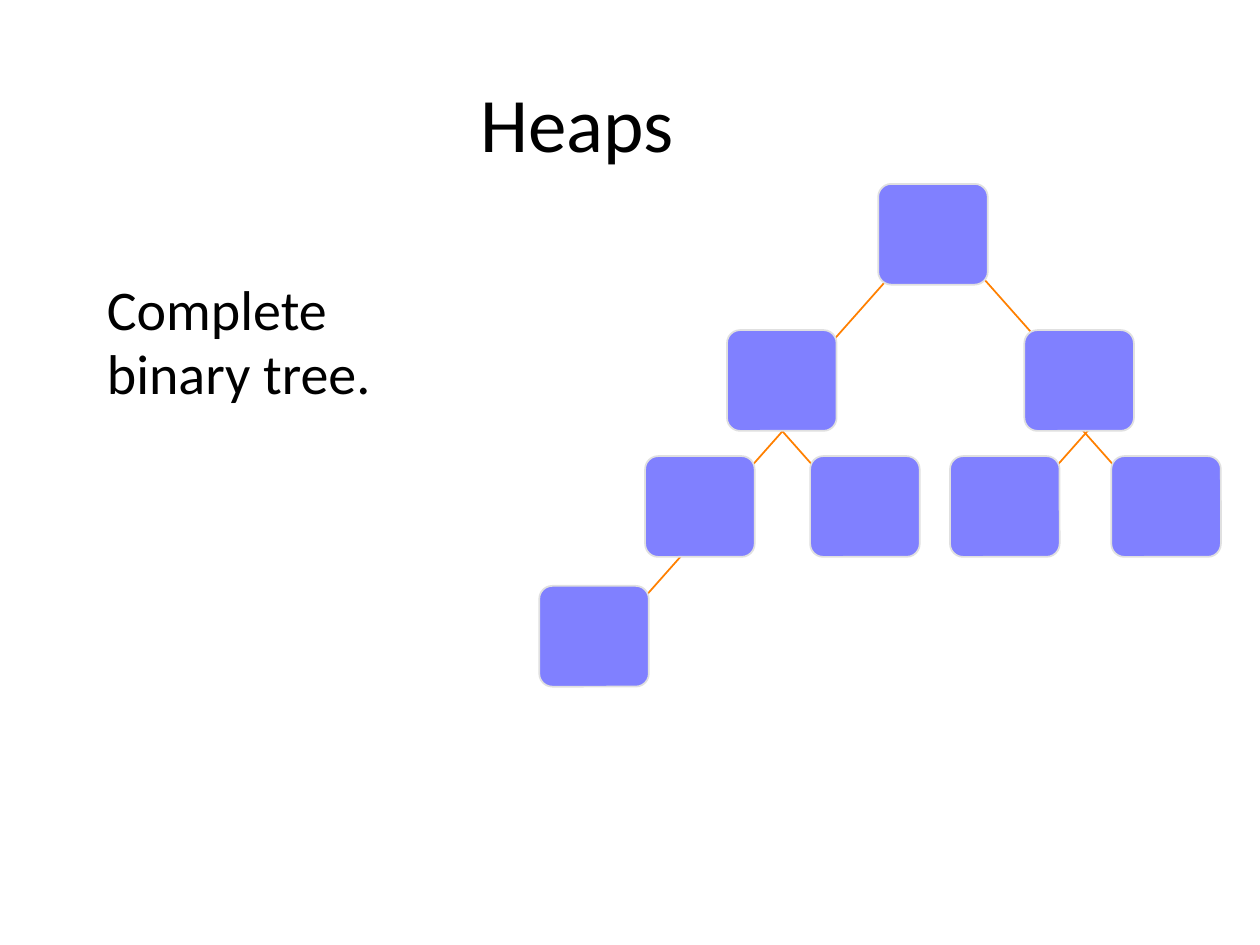
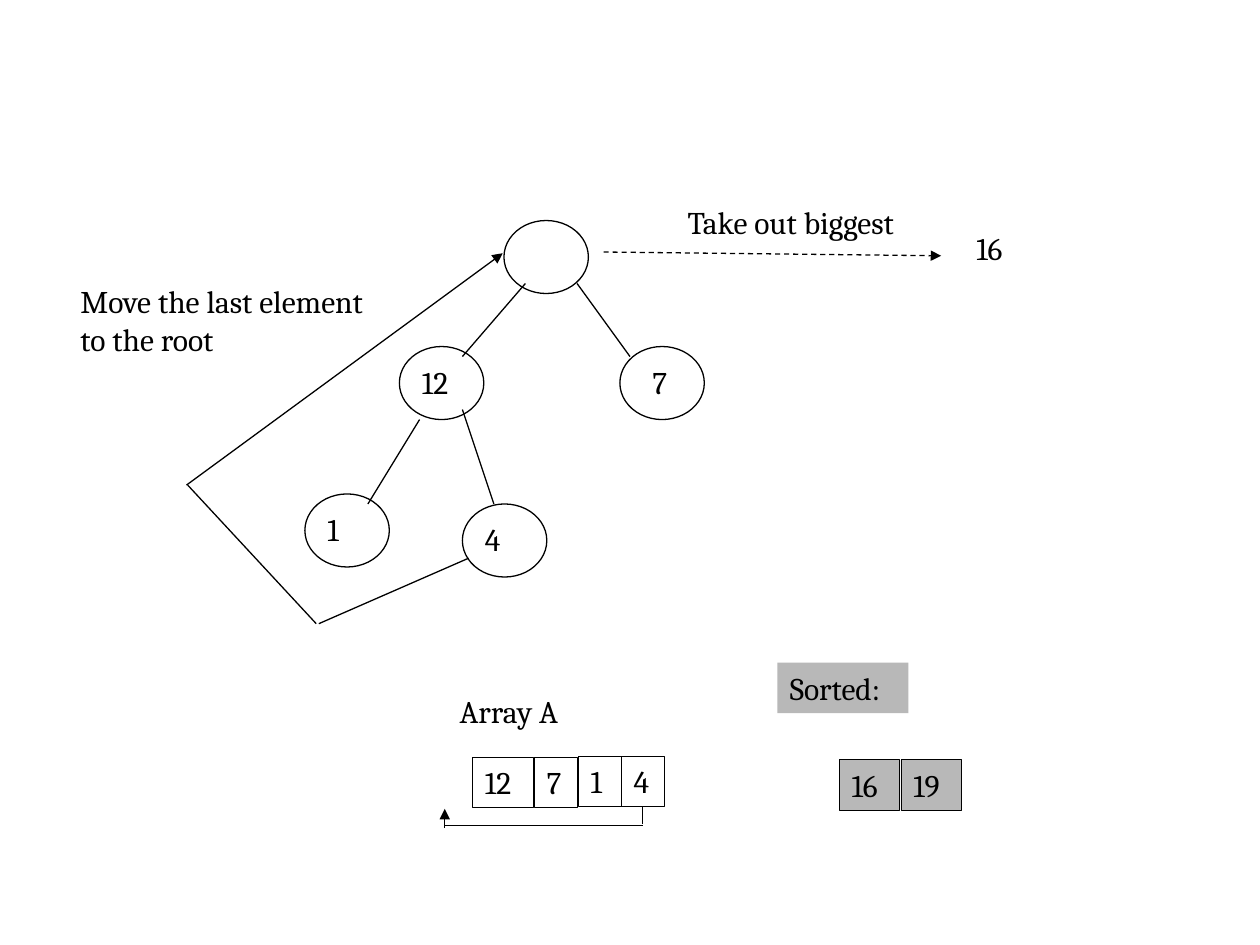
from dataclasses import dataclass

from lxml import etree
from pptx import Presentation
from pptx import util as u
from pptx.dml.color import RGBColor
from pptx.enum import dml, shapes, text
from pptx.oxml import ns


@dataclass(frozen=True)
class Theme:
    ink: str = "000000"
    node_fill: str = "8080FF"
    node_line: str = "E0E0E0"
    edge: str = "FF8000"
    sorted_fill: str = "B8B8B8"
    heading_font: str = "Calibri"
    diagram_font: str = "Cambria"
    title_size: float = 44
    body_size: float = 32
    label_size: float = 18
    tree_line: float = 1
    thin_line: float = 0.75
    cell_line: float = 0.25


class Deck:
    """Holds the theme and the slide being drawn."""

    def __init__(self, theme):
        self.theme = theme
        self.presentation = Presentation()
        self.presentation.slide_width = u.Inches(10)
        self.presentation.slide_height = u.Inches(7.5)
        self.slide = None

    def new_slide(self):
        self.slide = self.presentation.slides.add_slide(self.presentation.slide_layouts[6])

    def add_text(self, shape, lines, size, font, align=text.PP_ALIGN.LEFT,
                 anchor=text.MSO_ANCHOR.TOP, wrap=False, spacing=None):
        frame = shape.text_frame
        frame.word_wrap = wrap
        frame.auto_size = text.MSO_AUTO_SIZE.NONE if wrap else text.MSO_AUTO_SIZE.SHAPE_TO_FIT_TEXT
        frame.vertical_anchor = anchor
        for index, line in enumerate(lines):
            paragraph = frame.add_paragraph() if index else frame.paragraphs[0]
            paragraph.alignment = align
            paragraph.line_spacing = spacing
            run = paragraph.add_run()
            run.text = line
            run.font.size = u.Pt(size)
            run.font.name = font
            run.font.color.rgb = RGBColor.from_string(self.theme.ink)

    def text_box(self, box, lines, size, font, **layout):
        shape = self.slide.shapes.add_textbox(*map(u.Inches, box))
        self.add_text(shape, lines, size, font, **layout)

    def label(self, box, *lines):
        self.text_box(box, lines, self.theme.label_size, self.theme.diagram_font)

    def shape(self, kind, box, fill=None, line=None, width=1):
        shape = self.slide.shapes.add_shape(kind, *map(u.Inches, box))
        shape.shadow.inherit = False
        if fill:
            shape.fill.solid()
            shape.fill.fore_color.rgb = RGBColor.from_string(fill)
        else:
            shape.fill.background()
        if line:
            shape.line.color.rgb = RGBColor.from_string(line)
            shape.line.width = u.Pt(width)
        else:
            shape.line.fill.background()
        return shape

    def tree_box(self, left, top):
        box = self.shape(shapes.MSO_SHAPE.ROUNDED_RECTANGLE, (left, top, 0.87, 0.8),
                         self.theme.node_fill, self.theme.node_line, self.theme.tree_line)
        box.adjustments[0] = 0.13

    def circle(self, left, top):
        self.shape(shapes.MSO_SHAPE.OVAL, (left, top, 0.67, 0.58),
                   line=self.theme.ink, width=self.theme.thin_line)

    def cell(self, box, value, fill=None, bordered=True):
        cell = self.shape(shapes.MSO_SHAPE.RECTANGLE, box, fill,
                          self.theme.ink if bordered else None, self.theme.cell_line)
        self.add_text(cell, [value], self.theme.label_size, self.theme.diagram_font)

    def line(self, start, end, color=None, width=None, arrow=False, dashed=False):
        line = self.slide.shapes.add_connector(
            shapes.MSO_CONNECTOR.STRAIGHT, *map(u.Inches, (*start, *end)))
        line.line.color.rgb = RGBColor.from_string(color or self.theme.ink)
        line.line.width = u.Pt(width or self.theme.thin_line)
        if dashed:
            line.line.dash_style = dml.MSO_LINE.DASH
        properties = line._element.spPr
        if arrow:
            outline = properties.find(ns.qn("a:ln"))
            etree.SubElement(outline, ns.qn("a:tailEnd"), type="triangle")
        etree.SubElement(properties, ns.qn("a:effectLst"))


def heap_shape_slide(deck):
    theme = deck.theme
    deck.new_slide()
    deck.text_box((0.33, 0.38, 8.5, 1.25), ["Heaps"], theme.title_size, theme.heading_font,
                  align=text.PP_ALIGN.CENTER, anchor=text.MSO_ANCHOR.MIDDLE,
                  wrap=True, spacing=0.95)
    deck.text_box((0.75, 2.17, 2.9, 4.5), ["Complete binary tree."], theme.body_size,
                  theme.heading_font, wrap=True, spacing=0.95)

    # Edges share one slope: start point and direction (-1 left, 1 right)
    edges = [(7.04, 2.22, -1), (7.77, 2.17, 1), (6.39, 3.22, -1), (6.03, 3.22, 1),
             (8.81, 3.22, -1), (8.42, 3.22, 1), (5.55, 4.25, -1)]
    for x, y, direction in edges:
        deck.line((x, y), (x + 0.62 * direction, y + 0.7), theme.edge, theme.tree_line)

    # Nodes, level by level, cover the edge ends
    levels = {1.46: [6.97], 2.62: [5.77, 8.13], 3.62: [5.12, 6.43, 7.54, 8.82], 4.65: [4.28]}
    for top, lefts in levels.items():
        for left in lefts:
            deck.tree_box(left, top)


def heap_sort_slide(deck):
    theme = deck.theme
    deck.new_slide()

    # Heap nodes: circle corner, value, value's left edge and width
    deck.circle(4, 1.75)
    nodes = [(3.17, 2.75, "12", 3.25, 0.48), (4.92, 2.75, "7", 5.08, 0.34),
             (2.42, 3.92, "1", 2.5, 0.34), (3.67, 4, "4", 3.75, 0.34)]
    for left, top, value, value_left, value_width in nodes:
        deck.circle(left, top)
        deck.label((value_left, top + 0.08, value_width, 0.4), value)

    # Heap edges
    for start, end in [((4.17, 2.25), (3.67, 2.83)), ((4.58, 2.25), (5, 2.83)),
                       ((3.33, 3.33), (2.92, 4)), ((3.67, 3.25), (3.92, 4))]:
        deck.line(start, end)

    # Removing the root
    deck.label((5.36, 1.56, 2.14, 0.4), "Take out biggest")
    deck.line((4.79, 2), (7.47, 2.03), arrow=True, dashed=True)
    deck.label((7.65, 1.77, 0.48, 0.4), "16")

    # Last element travels to the root
    deck.label((0.54, 2.19, 2.79, 0.71), "Move the last element", "to the root")
    deck.line((3.72, 4.43), (2.53, 4.95))
    deck.line((2.51, 4.95), (1.49, 3.85))
    deck.line((1.48, 3.85), (3.99, 2.01), arrow=True)

    # Array and the move inside it
    deck.label((3.55, 5.44, 1.14, 0.4), "Array A")
    for left, top, width, value in [(3.75, 6.01, 0.48, "12"), (4.24, 6.01, 0.34, "7"),
                                    (4.59, 6, 0.34, "1"), (4.93, 6, 0.34, "4")]:
        deck.cell((left, top, width, 0.4), value)
    deck.line((5.1, 6.4), (5.1, 6.54))
    deck.line((5.1, 6.55), (3.53, 6.55))
    deck.line((3.53, 6.57), (3.53, 6.42), arrow=True)

    # Sorted part
    deck.cell((6.17, 5.26, 1.04, 0.4), "Sorted:", theme.sorted_fill, bordered=False)
    for index, value in enumerate(["16", "19"]):
        deck.cell((6.66 + 0.49 * index, 6.03, 0.48, 0.4), value, theme.sorted_fill)


def main():
    deck = Deck(Theme())
    heap_shape_slide(deck)
    heap_sort_slide(deck)
    deck.presentation.save("out.pptx")


if __name__ == "__main__":
    main()
